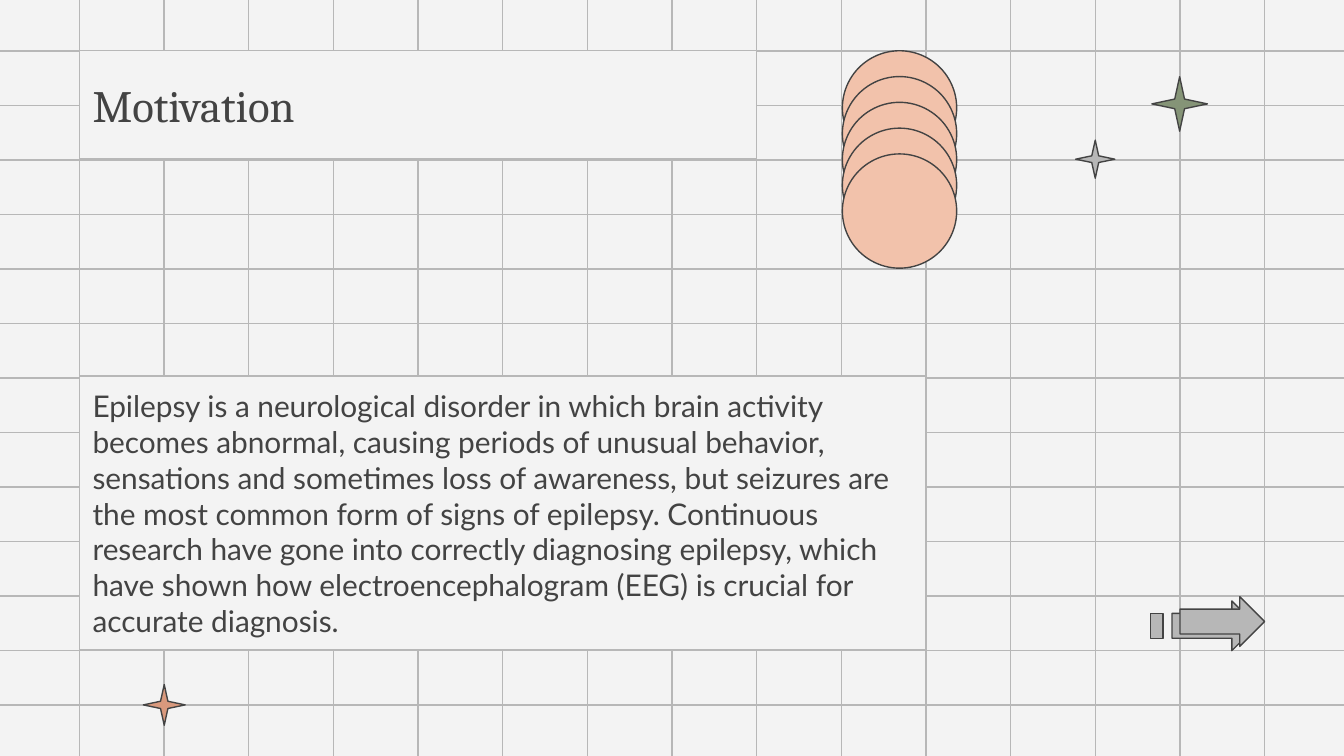
from itertools import product

from lxml import etree
from pptx import Presentation
from pptx.dml.color import RGBColor
from pptx.enum.shapes import MSO_CONNECTOR, MSO_SHAPE
from pptx.enum.text import MSO_ANCHOR, PP_ALIGN
from pptx.oxml.ns import qn
from pptx.util import Cm, Pt

LINE = MSO_CONNECTOR.STRAIGHT
RECT = MSO_SHAPE.RECTANGLE
OVAL = MSO_SHAPE.OVAL
STAR = MSO_SHAPE.STAR_4_POINT
ARROW = MSO_SHAPE.UP_ARROW
MIDDLE = MSO_ANCHOR.MIDDLE
LEFT = PP_ALIGN.LEFT

COLORS = {"paper": "F3F3F3", "grid": "B7B7B7", "ink": "434343",
          "peach": "F2C2AB", "clay": "D9997D", "sage": "859477"}
TITLE = {"name": "Cambria", "size": Pt(24)}
BODY = {"name": "Lato", "size": Pt(16)}
FRAME = {"word_wrap": True, "vertical_anchor": MIDDLE,
         "margin_left": Cm(0.25), "margin_right": Cm(0.25),
         "margin_top": Cm(0.25), "margin_bottom": Cm(0.25)}
PARA = {"alignment": LEFT, "space_after": Pt(10)}

STORY = (
    "Epilepsy is a neurological disorder in which brain activity becomes "
    "abnormal, causing periods of unusual behavior, sensations and sometimes "
    "loss of awareness, but seizures are the most common form of signs of "
    "epilepsy. Continuous research have gone into correctly diagnosing "
    "epilepsy, which have shown how electroencephalogram (EEG) is crucial "
    "for accurate diagnosis."
)


def color(name):
    """Return the named palette color."""
    return RGBColor.from_string(COLORS[name])


def apply(target, values):
    """Set each attribute in values on the target."""
    for key, value in values.items():
        setattr(target, key, value)


def add_form(shapes, kind, box, fill, edge="ink", turn=0):
    """Add a filled, outlined shape in a box given in centimetres."""
    form = shapes.add_shape(kind, *map(Cm, box))
    form.shadow.inherit = False
    form.rotation = turn
    form.fill.solid()
    form.fill.fore_color.rgb = color(fill)
    form.line.color.rgb = color(edge)
    form.line.width = Pt(0.75)
    return form


def add_rule(shapes, ends):
    """Add one grid line between two points."""
    rule = shapes.add_connector(LINE, *map(Cm, ends))
    rule.line.color.rgb = color("grid")
    rule.line.width = Pt(0.75)
    etree.SubElement(rule.element.spPr, qn("a:effectLst"))


def add_grid(slide, box):
    """Rule the box with columns and rows, each in two halves."""
    left, top, width, height = box
    right, bottom = left + width, top + height
    mid_x, mid_y = left + width / 2, top + height / 2
    shapes = slide.shapes.add_group_shape().shapes
    for step, (start, end) in product(range(-7, 8), ((top, mid_y), (mid_y, bottom))):
        x = mid_x + step * 1.6
        add_rule(shapes, (x, start, x, end))
    for step, (start, end) in product(range(-6, 7), ((left, mid_x), (mid_x, right))):
        y = mid_y + step * 1.03
        add_rule(shapes, (start, y, end, y))


def add_panel(slide, box, text, font):
    """Add a paper panel that holds one paragraph."""
    frame = add_form(slide.shapes, RECT, box, "paper", "grid").text_frame
    apply(frame, FRAME)
    para = frame.paragraphs[0]
    apply(para, PARA)
    run = para.add_run()
    run.text = text
    apply(run.font, font)
    run.font.color.rgb = color("ink")


def add_stack(slide, box, count=5):
    """Stack overlapping circles evenly down the box."""
    left, top, size, height = box
    step = (height - size) / (count - 1)
    shapes = slide.shapes.add_group_shape().shapes
    for index in range(count):
        add_form(shapes, OVAL, (left, top + index * step, size, size), "peach", turn=90)


def add_star(slide, box, fill):
    """Add a slim four-point star."""
    star = add_form(slide.shapes, STAR, box, fill)
    star.adjustments[0] = 0.125


def add_arrow(slide, box):
    """Add a double arrow with a tail block, pointing right."""
    left, top, width, height = box
    thick, span = 0.94, 1.6
    turn_x, turn_y = (span - thick) / 2, (thick - span) / 2
    right, low = left + width - span, top + height - thick
    shapes = slide.shapes.add_group_shape().shapes
    add_form(shapes, ARROW, (right - 0.15 + turn_x, low + turn_y, thick, span), "grid", turn=90)
    add_form(shapes, RECT, (left, low + 0.24, 0.24, 0.47), "grid")
    add_form(shapes, ARROW, (right + turn_x, top + turn_y, thick, span), "grid", turn=90)


def build():
    """Build and save the slide."""
    deck = Presentation()
    apply(deck, {"slide_width": Cm(25.4), "slide_height": Cm(14.29)})
    slide = deck.slides.add_slide(deck.slide_layouts[6])
    slide.background.fill.solid()
    slide.background.fill.fore_color.rgb = color("paper")
    add_grid(slide, (-0.1, -0.08, 25.6, 14.45))
    add_star(slide, (2.71, 12.94, 0.79, 0.77), "clay")
    add_panel(slide, (1.5, 0.95, 12.8, 2.06), "Motivation", TITLE)
    add_panel(slide, (1.5, 7.11, 16, 5.18), STORY, BODY)
    add_stack(slide, (15.92, 0.96, 2.16, 4.11))
    add_star(slide, (21.77, 1.45, 1.05, 1.03), "sage")
    add_star(slide, (20.33, 2.65, 0.74, 0.72), "grid")
    add_arrow(slide, (21.74, 11.28, 2.16, 1.02))
    deck.save("out.pptx")


if __name__ == "__main__":
    build()
